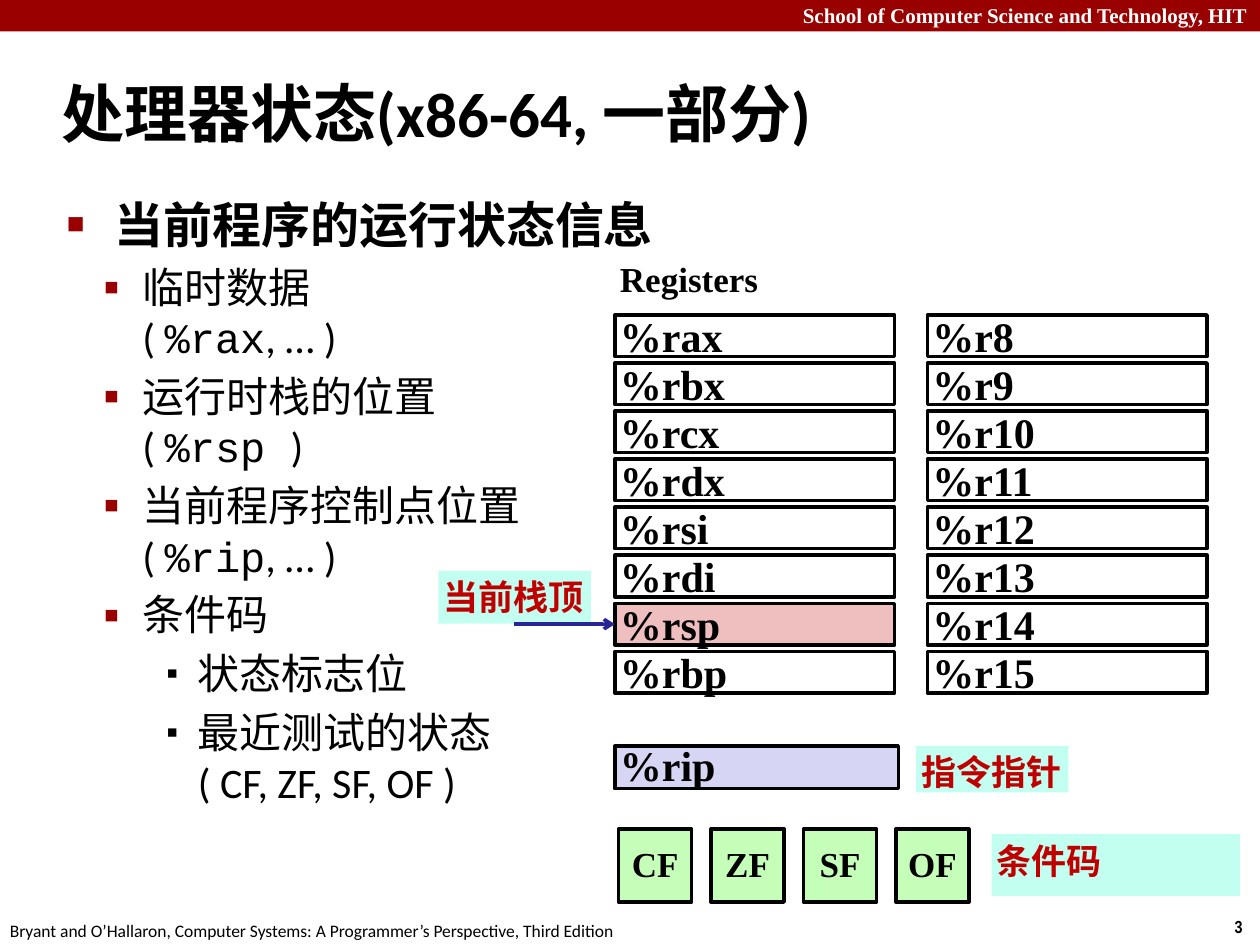
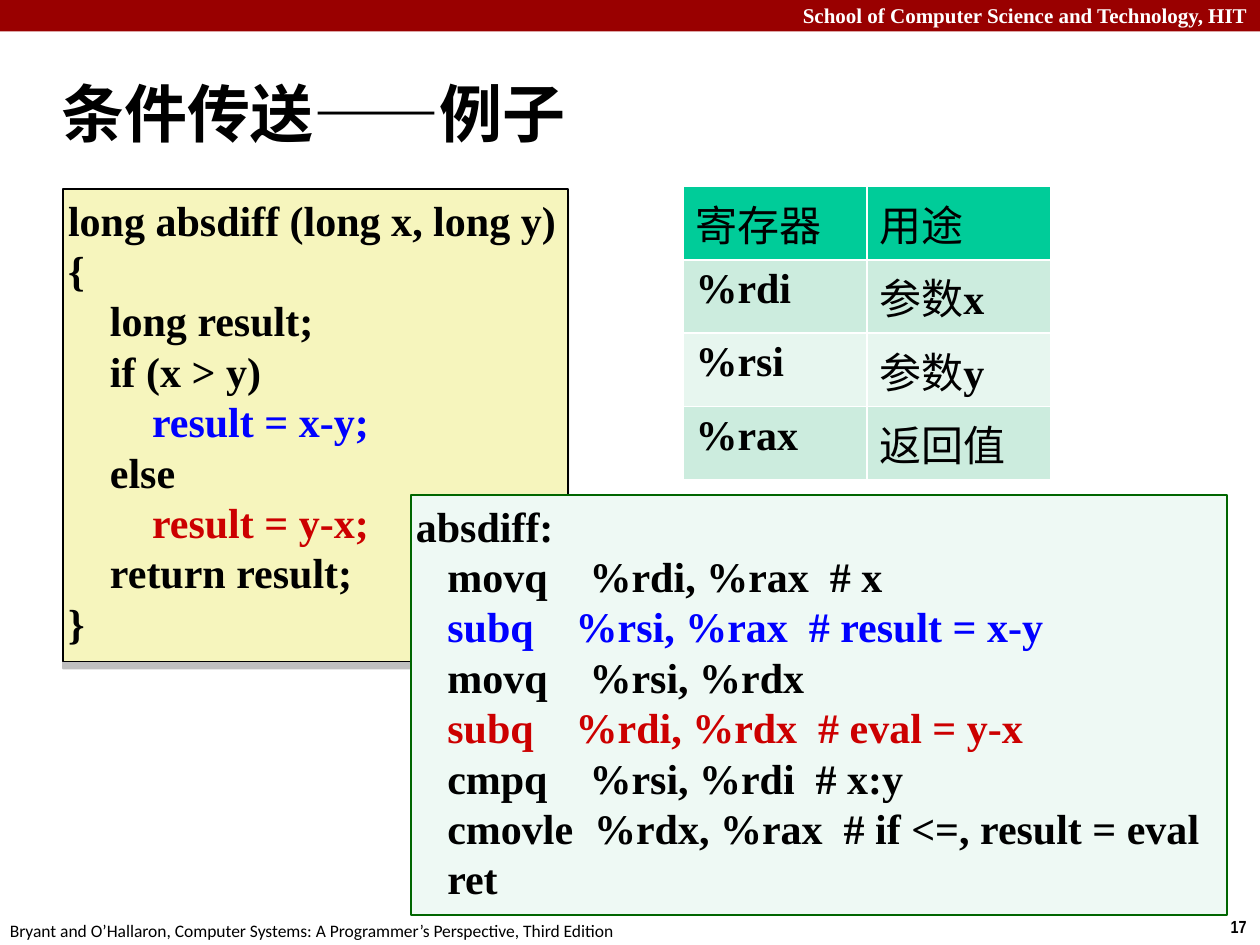
from dataclasses import dataclass
from typing import NamedTuple, Optional

from lxml import etree
from pptx import Presentation
from pptx import util as u
from pptx.dml.color import RGBColor
from pptx.enum import shapes, text
from pptx.oxml import ns

Inches = u.Inches


@dataclass(frozen=True)
class Theme:
    black: str = "000000"
    white: str = "FFFFFF"
    band: str = "990000"
    register_stack: str = "EFBFBF"
    register_rip: str = "D6D6F4"
    flag: str = "C5FEB8"
    callout: str = "C2FFF0"
    callout_text: str = "C00000"
    arrow: str = "262699"
    c_code: str = "F6F5BD"
    assembly: str = "EEF9F4"
    assembly_line: str = "006600"
    then_branch: str = "0000FF"
    else_branch: str = "CC0000"
    shadow: str = "808080"
    table_header: str = "00CC99"
    table_odd: str = "CCECDE"
    table_even: str = "E7F6EF"
    sans: str = "Calibri"
    serif: str = "Times New Roman"
    mono: str = "Courier New"
    narrow: str = "Arial Narrow"
    title_size: int = 36
    lead_size: int = 28
    text_size: int = 24
    label_size: int = 20
    header_size: int = 12
    footer_size: int = 10


THEME = Theme()


class Area(NamedTuple):
    left: float
    top: float
    width: float
    height: float

    def lengths(self) -> tuple:
        return tuple(Inches(side) for side in self)


@dataclass(frozen=True)
class Style:
    size: int = THEME.text_size
    font: str = THEME.serif
    color: str = THEME.black
    bold: bool = True


@dataclass(frozen=True)
class Panel:
    area: Area
    fill: Optional[str] = None
    line: Optional[str] = None
    weight: float = 2
    anchor: text.MSO_ANCHOR = text.MSO_ANCHOR.MIDDLE


class Bullet(NamedTuple):
    char: str
    percent: int
    color: str
    margin: float
    hanging: float


class Item(NamedTuple):
    level: int
    spans: list


CODE = Style()
LABEL = Style(THEME.label_size)
CALLOUT = Style(THEME.label_size, color=THEME.callout_text)
THEN = Style(color=THEME.then_branch)
ELSE = Style(color=THEME.else_branch)
TITLE = Style(THEME.title_size, THEME.sans)
LEAD = Style(THEME.lead_size, THEME.sans)
POINT = Style(font=THEME.sans, bold=False)
REGISTER = Style(font=THEME.mono, bold=False)
CELL = Style(bold=False)
HEADER = Style(THEME.header_size, color=THEME.white)
FOOTER = Style(THEME.footer_size, THEME.sans, bold=False)
NUMBER = Style(THEME.footer_size, THEME.narrow)

BULLETS = [
    Bullet("■", 60, THEME.band, 0.38, 0.38),
    Bullet("▪", 110, THEME.band, 0.6, 0.31),
    Bullet("▪", 80, THEME.black, 1.04, 0.25),
]


def add_element(parent, tag: str, **attributes):
    return etree.SubElement(parent, ns.qn(tag), attributes)


def add_span(para, words: str, style: Style) -> None:
    for index, piece in enumerate(words.split("\n")):
        if index:
            para.add_line_break()
            line_break = para._p.findall(ns.qn("a:br"))[-1]
            add_element(line_break, "a:rPr", sz=str(style.size * 100))
        span = para.add_run()
        span.text = piece
        span.font.size = u.Pt(style.size)
        span.font.name = style.font
        span.font.bold = style.bold
        span.font.color.rgb = RGBColor.from_string(style.color)


def write_lines(frame, lines: list, align=text.PP_ALIGN.LEFT, spacing: Optional[float] = None) -> None:
    for index, spans in enumerate(lines):
        para = frame.add_paragraph() if index else frame.paragraphs[0]
        para.alignment = align
        para.line_spacing = spacing
        for words, style in spans:
            add_span(para, words, style)


def set_insets(frame, inset: float = 0.04) -> None:
    frame.margin_left = frame.margin_right = Inches(inset)
    frame.margin_top = frame.margin_bottom = Inches(inset)


def add_panel(page, panel: Panel, lines: list, align=text.PP_ALIGN.LEFT, spacing: Optional[float] = None):
    box = page.shapes.add_shape(shapes.MSO_SHAPE.RECTANGLE, *panel.area.lengths())
    box.shadow.inherit = False
    if panel.fill:
        box.fill.solid()
        box.fill.fore_color.rgb = RGBColor.from_string(panel.fill)
    else:
        box.fill.background()
    if panel.line:
        box.line.color.rgb = RGBColor.from_string(panel.line)
        box.line.width = u.Pt(panel.weight)
    else:
        box.line.fill.background()
    frame = box.text_frame
    frame.word_wrap = True
    frame.vertical_anchor = panel.anchor
    set_insets(frame)
    write_lines(frame, lines, align, spacing)
    return box


def add_label(page, area: Area, words: str, style: Style, align=text.PP_ALIGN.LEFT, wrap: bool = False):
    box = page.shapes.add_textbox(*area.lengths())
    box.text_frame.word_wrap = wrap
    write_lines(box.text_frame, [[(words, style)]], align)
    return box


def add_callout(page, area: Area, words: str) -> None:
    panel = Panel(area, THEME.callout, anchor=text.MSO_ANCHOR.TOP)
    add_panel(page, panel, [[(words, CALLOUT)]])


def place(box, area: Area) -> None:
    box.left, box.top, box.width, box.height = area.lengths()
    box.text_frame.auto_size = text.MSO_AUTO_SIZE.NONE


def start_page(deck, layout: int, title: str, number: int):
    page = deck.slides.add_slide(deck.slide_layouts[layout])
    add_panel(page, Panel(Area(0, 0, 10, 0.25), THEME.band), [])
    add_label(page, Area(0, -0.03, 10, 0.3), "School of Computer Science and Technology, HIT",
              HEADER, text.PP_ALIGN.RIGHT, True)
    add_label(page, Area(9.66, 7.22, 0.34, 0.27), str(number), NUMBER, text.PP_ALIGN.CENTER)
    add_label(page, Area(-0.02, 7.25, 5.08, 0.27),
              "Bryant and O’Hallaron, Computer Systems: A Programmer’s Perspective, Third Edition", FOOTER)
    heading = page.shapes.title
    place(heading, Area(0.39, 0.48, 9.61, 0.83))
    heading.text_frame.vertical_anchor = text.MSO_ANCHOR.MIDDLE
    write_lines(heading.text_frame, [[(title, TITLE)]])
    return page


def set_bullet(para, bullet: Bullet) -> None:
    props = para._p.get_or_add_pPr()
    props.set("marL", str(Inches(bullet.margin)))
    props.set("indent", str(-Inches(bullet.hanging)))
    add_element(add_element(props, "a:buClr"), "a:srgbClr", val=bullet.color)
    add_element(props, "a:buSzPct", val=str(bullet.percent * 1000))
    add_element(props, "a:buChar", char=bullet.char)


def add_outline(page, items: list) -> None:
    body = page.placeholders[1]
    place(body, Area(0.43, 1.49, 9.4, 5.76))
    for index, item in enumerate(items):
        para = body.text_frame.add_paragraph() if index else body.text_frame.paragraphs[0]
        para.level = item.level
        set_bullet(para, BULLETS[item.level])
        if index == 0:
            para.space_before = u.Pt(0)
        for words, style in item.spans:
            add_span(para, words, style)


def spread(first: float, last: float, names: list) -> list:
    step = (last - first) / (len(names) - 1)
    return [(first + step * index, name) for index, name in enumerate(names)]


def add_arrow(page, left: float, target) -> None:
    middle = target.top + target.height // 2
    arrow = page.shapes.add_connector(shapes.MSO_CONNECTOR.STRAIGHT, Inches(left), middle, target.left, middle)
    arrow.end_connect(target, 1)
    arrow.line.color.rgb = RGBColor.from_string(THEME.arrow)
    arrow.line.width = u.Pt(2)
    add_element(arrow.line._get_or_add_ln(), "a:tailEnd", type="arrow")
    add_element(arrow._element.spPr, "a:effectLst")


def build_processor_state(deck) -> None:
    page = start_page(deck, 1, "处理器状态(x86-64, 一部分)", 3)
    add_outline(page, [
        Item(0, [("当前程序的运行状态信息", LEAD)]),
        Item(1, [("临时数据\n( ", POINT), ("%rax", REGISTER), (", … )", POINT)]),
        Item(1, [("运行时栈的位置\n( ", POINT), ("%rsp ", REGISTER), (")", POINT)]),
        Item(1, [("当前程序控制点位置\n( ", POINT), ("%rip", REGISTER), (", … )", POINT)]),
        Item(1, [("条件码", POINT)]),
        Item(2, [("状态标志位", POINT)]),
        Item(2, [("最近测试的状态\n( CF, ZF, SF, OF )", POINT)]),
    ])
    set_insets(add_label(page, Area(4.88, 2, 1.19, 0.42), "Registers", LABEL).text_frame)
    add_callout(page, Area(3.48, 4.53, 1.21, 0.42), "当前栈顶")
    add_callout(page, Area(7.27, 5.92, 1.21, 0.37), "指令指针")
    add_callout(page, Area(7.87, 6.62, 1.97, 0.49), "条件码")

    legacy = ["%rax", "%rbx", "%rcx", "%rdx", "%rsi", "%rdi", "%rsp", "%rbp"]
    extended = [f"%r{number}" for number in range(8, 16)]
    registers = {}
    for left, names in ((4.88, legacy), (7.36, extended)):
        for top, name in spread(2.5, 5.17, names):
            fill = THEME.register_stack if name == "%rsp" else None
            panel = Panel(Area(left, top, 2.22, 0.33), fill, THEME.black)
            registers[name] = add_panel(page, panel, [[(name, CODE)]])
    add_arrow(page, 4.08, registers["%rsp"])

    pointer = Panel(Area(4.88, 5.92, 2.25, 0.34), THEME.register_rip, THEME.black)
    add_panel(page, pointer, [[("%rip", CODE)]], spacing=0.95)
    for left, name in spread(4.91, 7.11, ["CF", "ZF", "SF", "OF"]):
        panel = Panel(Area(left, 6.58, 0.58, 0.58), THEME.flag, THEME.black)
        add_panel(page, panel, [[(name, LABEL)]], text.PP_ALIGN.CENTER, 0.95)


def add_drop_shadow(box) -> None:
    effects = box._element.spPr.find(ns.qn("a:effectLst"))
    shadow = add_element(effects, "a:outerShdw", blurRad="0", dist=str(u.Pt(4)), dir="5400000")
    color = add_element(shadow, "a:srgbClr", val=THEME.shadow)
    add_element(color, "a:alpha", val="50000")


def add_register_table(page, rows: list) -> None:
    area = Area(5.42, 1.48, 2.92, 2.33)
    table = page.shapes.add_table(len(rows), len(rows[0]), *area.lengths()).table
    for row, cells in enumerate(rows):
        fill = THEME.table_header if row == 0 else (THEME.table_even, THEME.table_odd)[row % 2]
        for column, spans in enumerate(cells):
            cell = table.cell(row, column)
            cell.fill.solid()
            cell.fill.fore_color.rgb = RGBColor.from_string(fill)
            write_lines(cell.text_frame, [spans])


def build_conditional_move(deck) -> None:
    page = start_page(deck, 5, "条件传送——例子", 17)
    c_panel = Panel(Area(0.5, 1.5, 4.01, 3.75), THEME.c_code, THEME.black, 1, text.MSO_ANCHOR.TOP)
    add_drop_shadow(add_panel(page, c_panel, [
        [("long absdiff (long x, long y)", CODE)],
        [("{", CODE)],
        [("    long result;", CODE)],
        [("    if (x > y)", CODE)],
        [("        ", CODE), ("result = x-y;", THEN)],
        [("    else", CODE)],
        [("        ", CODE), ("result = y-x;", ELSE)],
        [("    return result;", CODE)],
        [("}", CODE)],
    ]))
    add_register_table(page, [
        [[("寄存器", CELL)], [("用途", CELL)]],
        [[("%rdi", CODE)], [("参数", CELL), ("x", CODE)]],
        [[("%rsi", CODE)], [("参数", CELL), ("y", CODE)]],
        [[("%rax", CODE)], [("返回值", CELL)]],
    ])
    assembly = Panel(Area(3.26, 3.93, 6.48, 3.33), THEME.assembly, THEME.assembly_line, 1, text.MSO_ANCHOR.TOP)
    add_panel(page, assembly, [
        [("absdiff:", CODE)],
        [("   movq    %rdi, %rax  # x", CODE)],
        [("   ", CODE), ("subq    %rsi, %rax  # result = x-y", THEN)],
        [("   movq    %rsi, %rdx", CODE)],
        [("   ", CODE), ("subq    %rdi, %rdx  # eval = y-x", ELSE)],
        [("   cmpq    %rsi, %rdi  # x:y", CODE)],
        [("   cmovle  %rdx, %rax  # if <=, result = eval", CODE)],
        [("   ret", CODE)],
    ])


def main() -> None:
    deck = Presentation()
    deck.slide_width, deck.slide_height = Inches(10), Inches(7.5)
    build_processor_state(deck)
    build_conditional_move(deck)
    deck.save("out.pptx")


if __name__ == "__main__":
    main()
